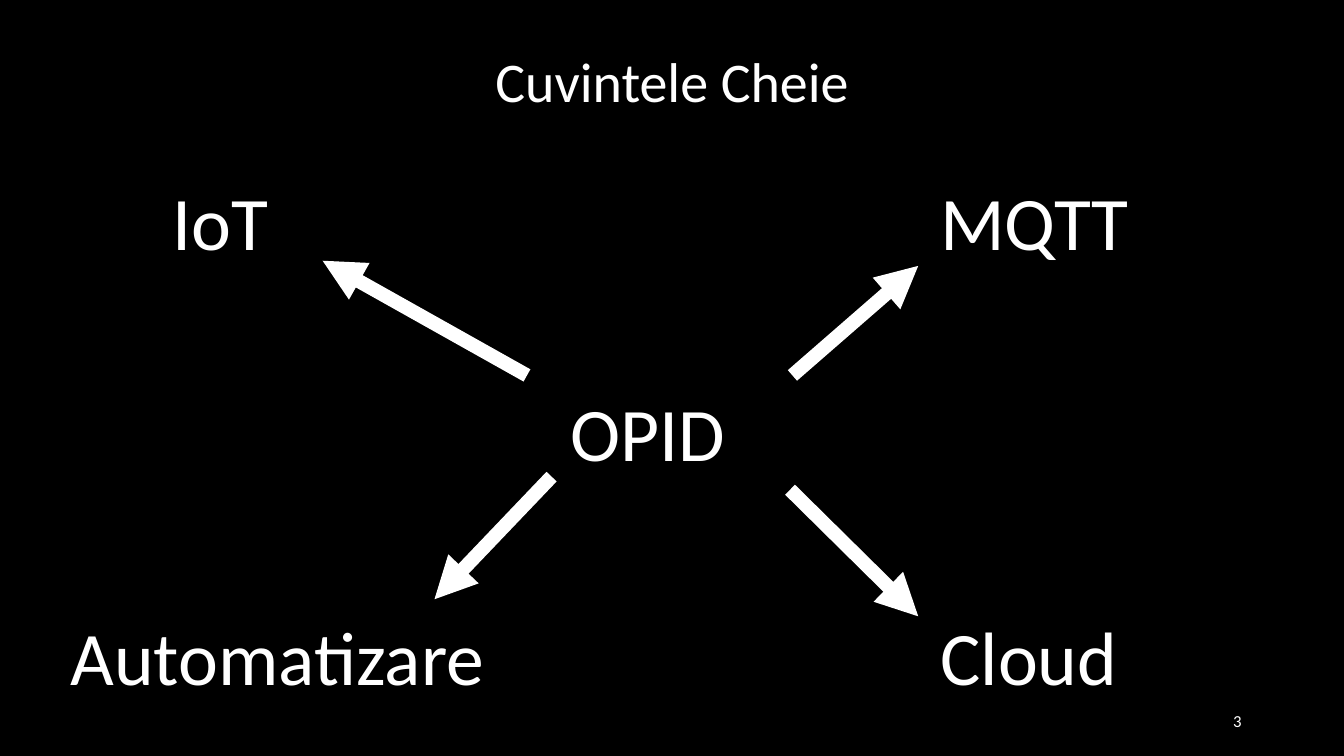
import pptx
import pptx.util
import pptx.dml.color
import pptx.enum.shapes
import pptx.enum.text
import lxml.etree

Cm = pptx.util.Cm
Pt = pptx.util.Pt
ALIGN = pptx.enum.text.PP_ALIGN
ANCHOR = pptx.enum.text.MSO_ANCHOR

COLORS = {"background": "000000", "foreground": "FFFFFF"}
FONT = "Calibri"
TITLE = ("Cuvintele Cheie", 2.33, 0.28, 29.21, 3.68)
PAGE_NUMBER = ("3", 23.92, 17.65, 7.62, 1.01)
KEYWORDS = [
    ("OPID", 14.13, 10.03, 5.53, 2.16, 0.8),
    ("IoT", 4.11, 4.53, 6.25, 2.16, 0.9),
    ("MQTT", 23.45, 4.53, 6.7, 2.16, 0.9),
    ("Cloud", 23.45, 15.51, 5.53, 2.16, 0.9),
    ("Automatizare", 1.53, 15.51, 11.43, 1.31, 0.9),
]
ARROWS = [
    (13.28, 9.46, 8.13, 6.57),
    (19.97, 9.46, 23.14, 6.7),
    (19.91, 12.34, 23.14, 15.53),
    (13.9, 12.01, 10.95, 15.1),
]


def color(name):
    return pptx.dml.color.RGBColor.from_string(COLORS[name])


def add_text(page, text, left, top, width, height, size, spacing=1.0,
             before=0, align=ALIGN.LEFT, anchor=ANCHOR.TOP):
    box = page.shapes.add_textbox(Cm(left), Cm(top), Cm(width), Cm(height))
    frame = box.text_frame
    frame.word_wrap = True
    frame.vertical_anchor = anchor
    frame.text = text
    para = frame.paragraphs[0]
    para.alignment = align
    para.line_spacing = spacing
    para.space_before = Pt(before)
    font = para.runs[0].font
    font.name = FONT
    font.size = Pt(size)
    font.color.rgb = color("foreground")


def add_arrow(page, *ends):
    arrow = page.shapes.add_connector(
        pptx.enum.shapes.MSO_CONNECTOR.STRAIGHT, *map(Cm, ends))
    arrow.line.color.rgb = color("foreground")
    arrow.line.width = Pt(10)
    properties = arrow.element.spPr
    namespace = "{" + properties.nsmap["a"] + "}"
    line = properties.find(namespace + "ln")
    lxml.etree.SubElement(line, namespace + "tailEnd", type="triangle")
    lxml.etree.SubElement(properties, namespace + "effectLst")


def main():
    deck = pptx.Presentation()
    deck.slide_width = Cm(33.87)
    deck.slide_height = Cm(19.05)
    page = deck.slides.add_slide(deck.slide_layouts[6])
    page.background.fill.solid()
    page.background.fill.fore_color.rgb = color("background")

    add_text(page, *TITLE, size=40, spacing=0.9,
             align=ALIGN.CENTER, anchor=ANCHOR.MIDDLE)
    for text, left, top, width, height, spacing in KEYWORDS:
        add_text(page, text, left, top, width, height, size=54,
                 spacing=spacing, before=10)
    add_text(page, *PAGE_NUMBER, size=12,
             align=ALIGN.RIGHT, anchor=ANCHOR.MIDDLE)
    for ends in ARROWS:
        add_arrow(page, *ends)
    deck.save("out.pptx")


if __name__ == "__main__":
    main()
